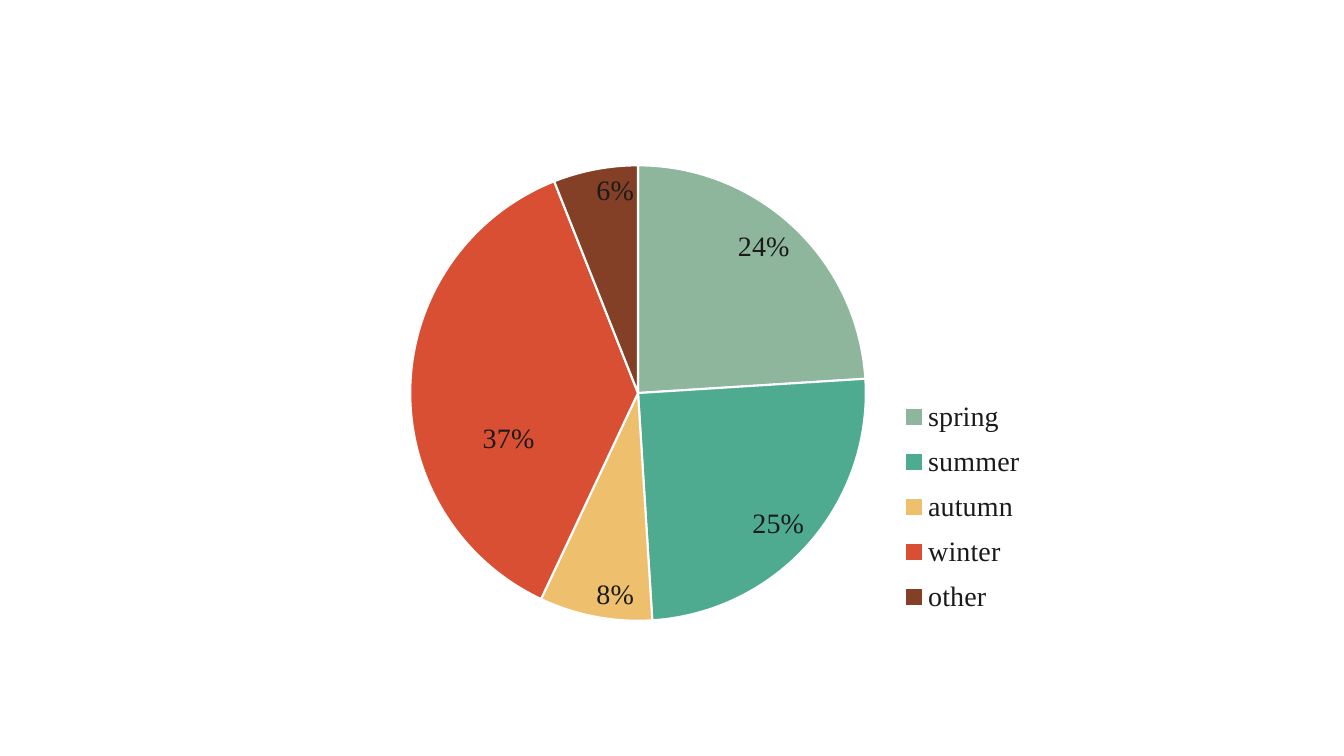
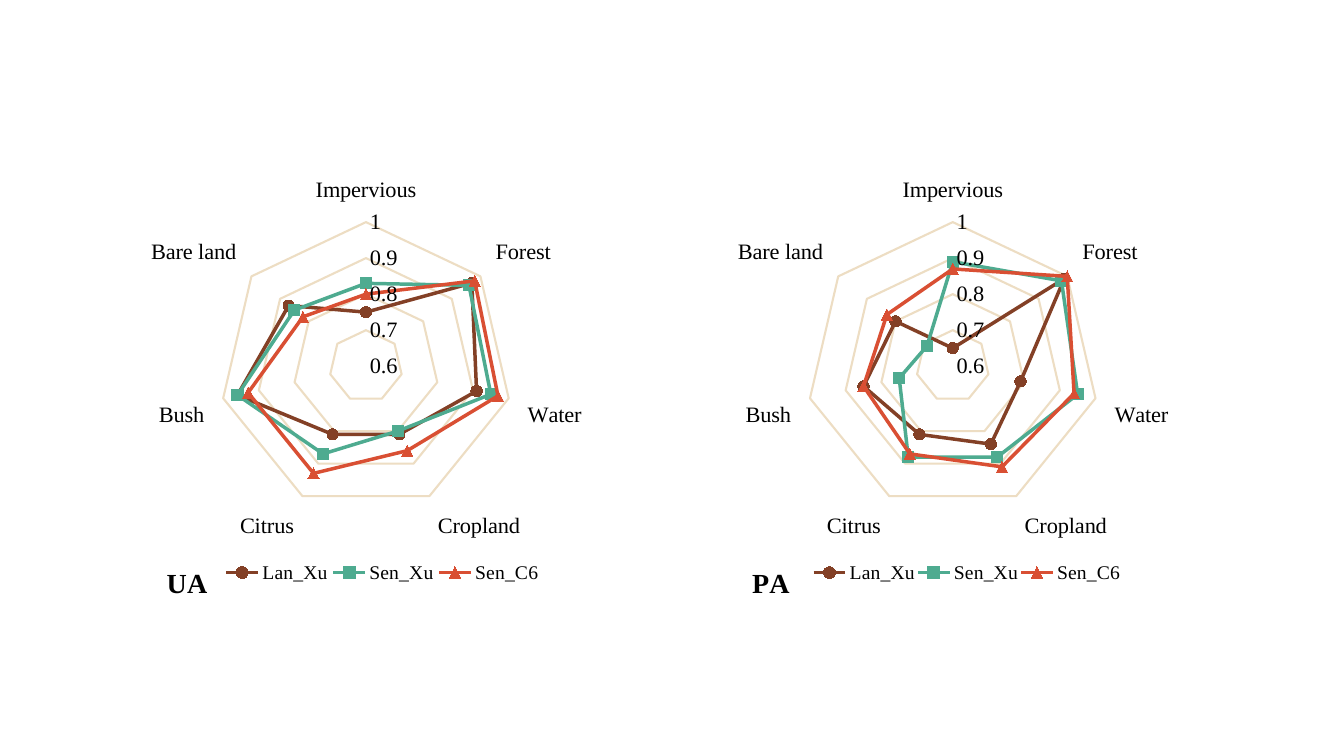
from pptx import Presentation
from pptx.chart.data import CategoryChartData
from pptx.dml.color import RGBColor
from pptx.enum.chart import XL_CHART_TYPE as ChartType
from pptx.enum.chart import XL_LABEL_POSITION as LabelPosition
from pptx.enum.chart import XL_LEGEND_POSITION as LegendPosition
from pptx.enum.chart import XL_MARKER_STYLE as MarkerStyle
from pptx.enum.chart import XL_TICK_MARK as TickMark
from pptx.oxml.xmlchemy import OxmlElement
from pptx.util import Inches, Pt

FONT = "Times New Roman"
BLACK = RGBColor(0x00, 0x00, 0x00)
INK = RGBColor(0x1A, 0x1A, 0x1A)
WHITE = RGBColor(0xFF, 0xFF, 0xFF)
SAGE = RGBColor(0x8E, 0xB6, 0x9C)
TEAL = RGBColor(0x4E, 0xAB, 0x90)
SAND = RGBColor(0xEE, 0xBF, 0x6D)
RED = RGBColor(0xD9, 0x4F, 0x33)
BROWN = RGBColor(0x83, 0x40, 0x26)
RING = RGBColor(0xED, 0xDD, 0xC3)
SPOKE = RGBColor(0xE0, 0xE5, 0xEB)

SEASONS = ["", "spring", "summer", "autumn", "winter", "other"]
SEASON_SHARES = [None, 0.24, 0.25, 0.08, 0.37, 0.06]
SEASON_COLORS = [SAGE, SAGE, TEAL, SAND, RED, BROWN]

LAND_COVERS = ["Impervious", "Forest", "Water", "Cropland", "Citrus", "Bush", "Bare land"]
METHOD_STYLES = [
    (BROWN, MarkerStyle.CIRCLE),
    (TEAL, MarkerStyle.SQUARE),
    (RED, MarkerStyle.TRIANGLE),
]
USER_ACCURACY = {
    "Lan_Xu": [0.75, 0.97, 0.91, 0.81, 0.81, 0.96, 0.87],
    "Sen_Xu": [0.83, 0.96, 0.95, 0.8, 0.87, 0.96, 0.85],
    "Sen_C6": [0.8, 0.98, 0.97, 0.86, 0.93, 0.93, 0.82],
}
PRODUCER_ACCURACY = {
    "Lan_Xu": [0.65, 0.99, 0.79, 0.84, 0.81, 0.85, 0.8],
    "Sen_Xu": [0.89, 0.98, 0.95, 0.88, 0.88, 0.75, 0.69],
    "Sen_C6": [0.87, 1, 0.94, 0.91, 0.87, 0.85, 0.83],
}


def set_font(font, size, color, bold=False):
    font.name = FONT
    font.size = Pt(size)
    font.bold = bold
    font.color.rgb = color


def set_line(line, color, width):
    line.color.rgb = color
    line.width = Pt(width)


def add_value(parent, tag, value):
    child = OxmlElement(tag)
    child.set("val", str(value))
    parent.append(child)


def place(element, x, y, width=None, height=None, inner=False, offset=False):
    for old_layout in element.xpath("c:layout"):
        element.remove(old_layout)
    layout = OxmlElement("c:layout")
    manual = OxmlElement("c:manualLayout")
    layout.append(manual)
    if inner:
        add_value(manual, "c:layoutTarget", "inner")
    if not offset:
        add_value(manual, "c:xMode", "edge")
        add_value(manual, "c:yMode", "edge")
    for tag, value in (("c:x", x), ("c:y", y), ("c:w", width), ("c:h", height)):
        if value is not None:
            add_value(manual, tag, value)
    leading = element.xpath("c:idx|c:tx|c:legendPos|c:legendEntry")
    element.insert(len(leading), layout)


def set_title(chart, text, x, y, size=20, color=BLACK, bold=True):
    frame = chart.chart_title.text_frame
    frame.text = text
    set_font(frame.paragraphs[0].runs[0].font, size, color, bold)
    place(chart.element.xpath("c:chart/c:title")[0], x, y)


def add_legend(chart, position, size, color, box):
    chart.has_legend = True
    chart.legend.position = position
    chart.legend.include_in_layout = False
    set_font(chart.legend.font, size, color)
    legend = chart.element.xpath("c:chart/c:legend")[0]
    place(legend, *box)
    return legend


def add_chart(slide, kind, box, categories, series, size, color, plot_box):
    data = CategoryChartData()
    data.categories = categories
    for name, values in series.items():
        data.add_series(name, values)
    frame = slide.shapes.add_chart(kind, *(Inches(length) for length in box), data)
    chart = frame.chart
    chart.has_title = False
    set_font(chart.font, size, color)
    place(chart.element.xpath("c:chart/c:plotArea")[0], *plot_box, inner=True)
    return chart


def hide_legend_entry(legend, index):
    entry = OxmlElement("c:legendEntry")
    add_value(entry, "c:idx", index)
    add_value(entry, "c:delete", 1)
    legend.insert(1, entry)


def add_season_pie(slide):
    chart = add_chart(slide, ChartType.PIE, (2.92, 1.14, 7.66, 5.52), SEASONS,
                      {"Series 1": SEASON_SHARES}, 20, INK, (0.15, 0.09, 0.59, 0.82))
    legend = add_legend(chart, LegendPosition.RIGHT, 20, INK, (0.78, 0.49, 0.17, 0.43))
    hide_legend_entry(legend, 0)

    plot = chart.plots[0]
    plot.vary_by_categories = True
    series = plot.series[0]
    for index, color in enumerate(SEASON_COLORS):
        point_format = series.points[index].format
        point_format.fill.solid()
        point_format.fill.fore_color.rgb = color
        set_line(point_format.line, WHITE, 1.5)

    labels = series.data_labels
    labels.show_value = True
    labels.show_percentage = False
    labels.number_format = "0%"
    labels.number_format_is_linked = False
    labels.position = LabelPosition.INSIDE_END
    set_font(labels.font, 20, INK)

    winter_label = series.points[SEASONS.index("winter")].data_label
    set_font(winter_label.font, 20, INK)
    winter_label.position = LabelPosition.CENTER
    place(chart.element.xpath(".//c:ser/c:dLbls/c:dLbl")[0], -0.02, 0.09, offset=True)


def style_axes(chart):
    for axis, color, width in ((chart.category_axis, SPOKE, 0.75), (chart.value_axis, RING, 1.5)):
        axis.major_tick_mark = TickMark.NONE
        axis.minor_tick_mark = TickMark.NONE
        axis.has_major_gridlines = True
        set_line(axis.major_gridlines.format.line, color, width)
        set_font(axis.tick_labels.font, 16, BLACK)
    set_line(chart.category_axis.format.line, SPOKE, 0.75)
    value_axis = chart.value_axis
    value_axis.format.line.fill.background()
    value_axis.minimum_scale = 0.6
    value_axis.maximum_scale = 1
    value_axis.major_unit = 0.1
    value_axis.tick_labels.number_format = "General"
    value_axis.tick_labels.number_format_is_linked = False


def add_accuracy_radar(slide, title, accuracy, left, width, title_x, legend_x, legend_width):
    chart = add_chart(slide, ChartType.RADAR_MARKERS, (left, 1.02, width, 5.01), LAND_COVERS,
                      accuracy, 12, BLACK, (0.27, 0.24, 0.46, 0.58))
    set_title(chart, title, title_x, 0.92)
    add_legend(chart, LegendPosition.BOTTOM, 14, BLACK, (legend_x, 0.92, legend_width, 0.05))
    style_axes(chart)
    for series, (color, marker_style) in zip(chart.plots[0].series, METHOD_STYLES):
        set_line(series.format.line, color, 2.5)
        marker = series.marker
        marker.style = marker_style
        marker.size = 8
        marker.format.fill.solid()
        marker.format.fill.fore_color.rgb = color
        set_line(marker.format.line, color, 0.75)


def main():
    presentation = Presentation()
    presentation.slide_width = Inches(13.33)
    presentation.slide_height = Inches(7.5)
    blank = presentation.slide_layouts[6]

    add_season_pie(presentation.slides.add_slide(blank))

    accuracy_slide = presentation.slides.add_slide(blank)
    add_accuracy_radar(accuracy_slide, "UA", USER_ACCURACY, left=0.36, width=6.54,
                       title_x=0.19, legend_x=0.28, legend_width=0.49)
    add_accuracy_radar(accuracy_slide, "PA", PRODUCER_ACCURACY, left=5.93, width=7.04,
                       title_x=0.21, legend_x=0.3, legend_width=0.44)

    presentation.save("out.pptx")


if __name__ == "__main__":
    main()
